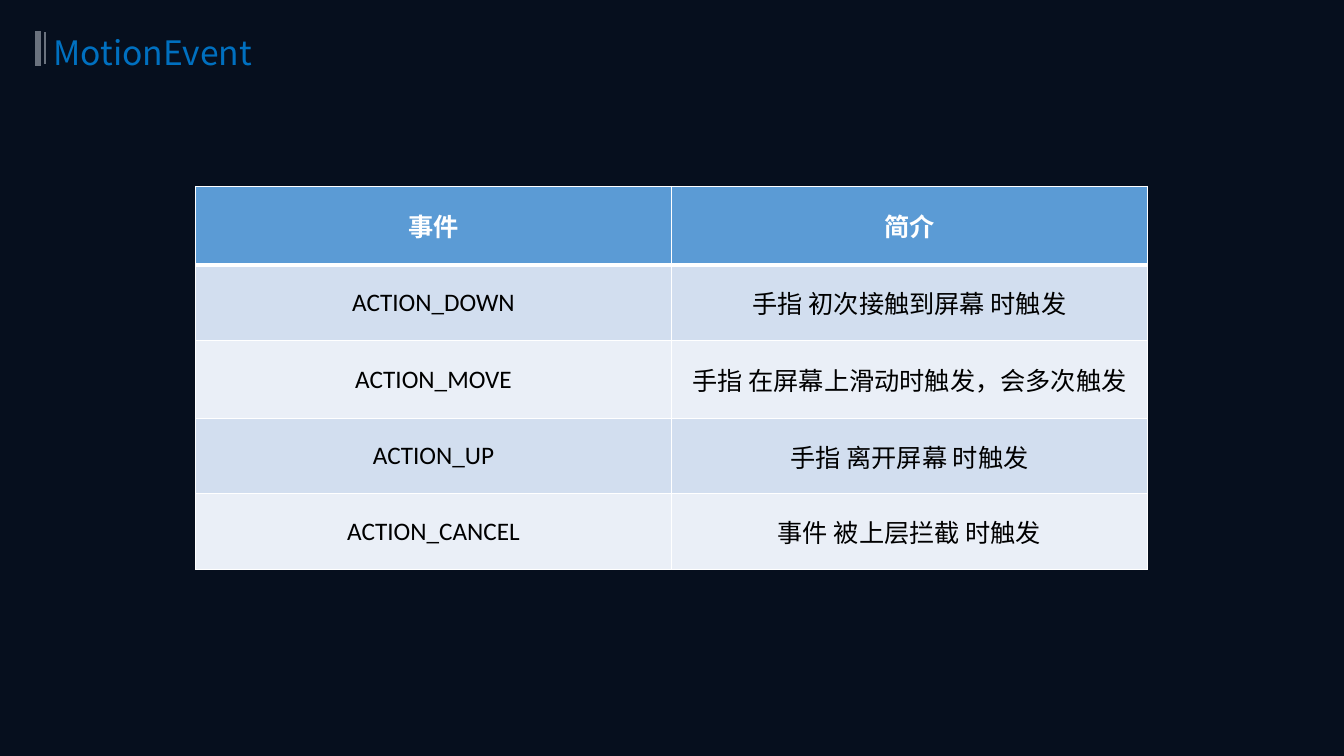
from lxml import etree
from pptx import Presentation
from pptx.dml.color import RGBColor
from pptx.enum.shapes import MSO_CONNECTOR
from pptx.enum.text import MSO_ANCHOR, PP_ALIGN
from pptx.oxml.ns import qn
from pptx.util import Inches, Pt

STRAIGHT = MSO_CONNECTOR.STRAIGHT
MIDDLE = MSO_ANCHOR.MIDDLE
CENTER = PP_ALIGN.CENTER

NIGHT = RGBColor(0x06, 0x0F, 0x1E)
GREY = RGBColor(0x6A, 0x72, 0x7E)
TITLE_BLUE = RGBColor(0x00, 0x70, 0xC0)
HEADER_BLUE = RGBColor(0x5B, 0x9B, 0xD5)
BANDS = (RGBColor(0xD2, 0xDE, 0xEF), RGBColor(0xEA, 0xEF, 0xF7))
WHITE = RGBColor(0xFF, 0xFF, 0xFF)
BLACK = RGBColor(0x00, 0x00, 0x00)

LATIN_FONT = "Calibri"
CHINESE_FONT = "Noto Sans CJK SC"

EVENTS = [
    ("事件", "简介"),
    ("ACTION_DOWN", "手指 初次接触到屏幕 时触发"),
    ("ACTION_MOVE", "手指 在屏幕上滑动时触发，会多次触发"),
    ("ACTION_UP", "手指 离开屏幕 时触发"),
    ("ACTION_CANCEL", "事件 被上层拦截 时触发"),
]
ROW_HEIGHTS = (0.78, 0.75, 0.77, 0.75, 0.75)
COLUMN_WIDTH = 4.72


class SlideBuilder:
    """Hold the style and the current slide."""

    def __init__(self, deck):
        """Add a blank page with a dark background."""
        self.page = deck.slides.add_slide(deck.slide_layouts[6])
        background = self.page.background.fill
        background.solid()
        background.fore_color.rgb = NIGHT

    def add_run(self, para, text, size, color, font, bold=False):
        """Append one styled run, with a Chinese font for East Asian text."""
        run = para.add_run()
        run.text = text
        run.font.size = Pt(size)
        run.font.name = font
        run.font.bold = bold
        run.font.color.rgb = color
        east_asian = etree.SubElement(run.font._element, qn("a:ea"))
        east_asian.set("typeface", CHINESE_FONT)

    def add_bar(self, x, top, bottom, width):
        """Draw a vertical grey line."""
        bar = self.page.shapes.add_connector(
            STRAIGHT, Inches(x), Inches(top), Inches(x), Inches(bottom))
        bar.line.color.rgb = GREY
        bar.line.width = Pt(width)
        etree.SubElement(bar._element.spPr, qn("a:effectLst"))

    def add_title(self, text, left, top, width, height):
        """Add the page title."""
        box = self.page.shapes.add_textbox(
            Inches(left), Inches(top), Inches(width), Inches(height))
        frame = box.text_frame
        frame.word_wrap = True
        frame.vertical_anchor = MIDDLE
        frame.margin_left = Inches(0.14)
        self.add_run(frame.paragraphs[0], text, 24, TITLE_BLUE, CHINESE_FONT)

    def set_borders(self, cell, bottom_width):
        """Draw white borders; the fill must follow them in the XML."""
        properties = cell._tc.get_or_add_tcPr()
        widths = {"a:lnL": 1, "a:lnR": 1, "a:lnT": 1, "a:lnB": bottom_width}
        for tag, width in widths.items():
            line = etree.SubElement(properties, qn(tag), w=str(Pt(width)))
            fill = etree.SubElement(line, qn("a:solidFill"))
            etree.SubElement(fill, qn("a:srgbClr"), val=str(WHITE))

    def add_table(self, rows, left, top):
        """Add a table with a blue header and banded rows."""
        column_count = len(rows[0])
        table = self.page.shapes.add_table(
            len(rows), column_count, Inches(left), Inches(top),
            Inches(COLUMN_WIDTH * column_count),
            Inches(sum(ROW_HEIGHTS))).table
        for column in table.columns:
            column.width = Inches(COLUMN_WIDTH)
        for index, texts in enumerate(rows):
            header = index == 0
            table.rows[index].height = Inches(ROW_HEIGHTS[index])
            for cell, text in zip(table.rows[index].cells, texts):
                self.set_borders(cell, 3 if header else 1)
                cell.fill.solid()
                cell.fill.fore_color.rgb = (
                    HEADER_BLUE if header else BANDS[(index - 1) % 2])
                cell.vertical_anchor = MIDDLE
                para = cell.text_frame.paragraphs[0]
                para.alignment = CENTER
                self.add_run(para, text, 18, WHITE if header else BLACK,
                             LATIN_FONT, bold=header)


def main():
    """Build the slide and save it."""
    deck = Presentation()
    deck.slide_width = Inches(13.33)
    deck.slide_height = Inches(7.5)
    builder = SlideBuilder(deck)
    builder.add_bar(0.38, 0.31, 0.65, 4.5)
    builder.add_bar(0.45, 0.32, 0.64, 1.5)
    builder.add_title("MotionEvent", 0.39, 0.23, 8.15, 0.58)
    builder.add_table(EVENTS, 1.94, 1.85)
    deck.save("out.pptx")


main()
